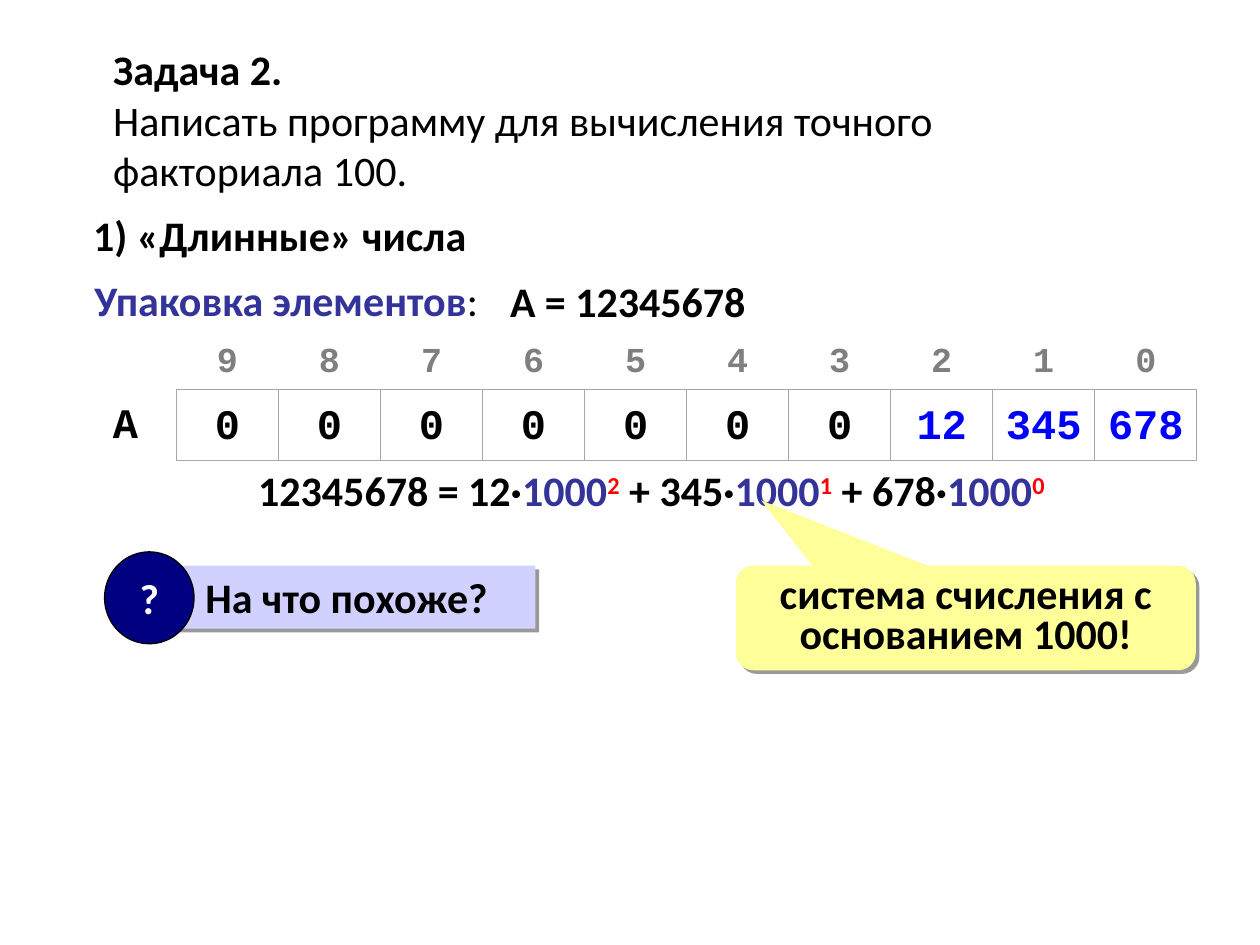
from lxml.etree import SubElement
from pptx import Presentation
from pptx.dml.color import RGBColor
from pptx.enum.shapes import MSO_SHAPE as Shape
from pptx.enum.text import MSO_ANCHOR as Anchor, MSO_AUTO_SIZE as AutoSize, PP_ALIGN as Align
from pptx.oxml.ns import qn
from pptx.util import Inches, Pt

COLORS = {
    "black": "000000", "white": "FFFFFF", "accent": "333399", "power": "FF0000",
    "index": "7F7F7F", "digits": "0000FF", "border": "A6A6A6",
    "callout": "FFFF99", "question": "D1D1FF", "badge": "000080",
}
SIDES = {"left": "lnL", "right": "lnR", "top": "lnT", "bottom": "lnB"}


def rgb(name):
    return RGBColor.from_string(COLORS[name])


def place(*lengths):
    return [Inches(length) for length in lengths]


class SlideBuilder:
    """Holds the text style and the slide being filled."""

    text_format = {"name": "Calibri", "size": Pt(24), "bold": True}

    def __init__(self, slide):
        self.slide = slide

    def add_spans(self, para, spans, **para_format):
        """Adds spans of (text, colour, font changes); "baseline" raises a span."""
        for name, value in para_format.items():
            setattr(para, name, value)
        for text, color, changes in spans:
            span = para.add_run()
            span.text = text
            font_format = self.text_format | changes
            baseline = font_format.pop("baseline", None)
            for name, value in font_format.items():
                setattr(span.font, name, value)
            span.font.color.rgb = rgb(color)
            if baseline:
                span._r.get_or_add_rPr().set("baseline", str(baseline * 1000))

    def text(self, at, *paragraphs, wrap=True, **para_format):
        frame = self.slide.shapes.add_textbox(*place(*at)).text_frame
        frame.word_wrap = wrap
        frame.auto_size = AutoSize.SHAPE_TO_FIT_TEXT
        for number, spans in enumerate(paragraphs):
            para = frame.add_paragraph() if number else frame.paragraphs[0]
            self.add_spans(para, spans, **para_format)

    def shape(self, kind, at, fill, spans, parent=None, frame_format=None, **para_format):
        box = (parent or self.slide).shapes.add_shape(kind, *place(*at))
        box.shadow.inherit = False
        box.fill.solid()
        box.fill.fore_color.rgb = rgb(fill)
        box.line.fill.background()
        settings = {"word_wrap": True, "vertical_anchor": Anchor.TOP} | (frame_format or {})
        for name, value in settings.items():
            setattr(box.text_frame, name, value)
        self.add_spans(box.text_frame.paragraphs[0], spans, **para_format)
        return box

    def cast_shadow(self, box):
        effects = box._element.spPr.find(qn("a:effectLst"))
        shadow = SubElement(effects, qn("a:outerShdw"), blurRad="0", dist=str(Pt(3)),
                            dir=str(45 * 60000), algn="tl", rotWithShape="0")
        color = SubElement(shadow, qn("a:srgbClr"), val=COLORS["black"])
        SubElement(color, qn("a:alpha"), val="40000")

    def cell(self, cell, text, color, size, anchor, bordered):
        properties = cell._tc.get_or_add_tcPr()
        for side, tag in SIDES.items():
            line = SubElement(properties, qn(f"a:{tag}"), w=str(Pt(0.45)))
            if side in bordered:
                fill = SubElement(line, qn("a:solidFill"))
                SubElement(fill, qn("a:srgbClr"), val=COLORS["border"])
            else:
                SubElement(line, qn("a:noFill"))
        cell.fill.background()
        cell.margin_left = cell.margin_right = Inches(0.08)
        cell.vertical_anchor = anchor
        if text:
            font_format = {"name": "Courier New", "size": Pt(size)}
            self.add_spans(cell.text_frame.paragraphs[0], [(text, color, font_format)],
                           alignment=Align.CENTER, line_spacing=1.15)

    def digit_table(self, at, label, digits):
        """Draws the array cells with their indexes counting down above them."""
        count = len(digits)
        table = self.slide.shapes.add_table(2, count + 1, *place(*at)).table
        table.first_row = table.horz_banding = False
        self.cell(table.cell(0, 0), "", "index", 20, Anchor.BOTTOM, ())
        self.cell(table.cell(1, 0), label, "black", 24, Anchor.TOP, ("right",))
        for column, digit in enumerate(digits, start=1):
            color = "black" if digit == "0" else "digits"
            self.cell(table.cell(0, column), str(count - column), "index", 20,
                      Anchor.BOTTOM, ("bottom",))
            self.cell(table.cell(1, column), digit, color, 24, Anchor.MIDDLE, SIDES)


def main():
    deck = Presentation()
    deck.slide_width, deck.slide_height = place(10, 7.5)
    builder = SlideBuilder(deck.slides.add_slide(deck.slide_layouts[6]))

    builder.text(
        (0.8, 0.3, 8.3, 1.3),
        [("Задача 2.", "black", {})],
        [("Написать программу для вычисления точного факториала 100.", "black", {"bold": False})],
    )
    builder.text((0.64, 1.61, 9.16, 0.52), [("1) «Длинные» числа", "black", {})])
    builder.text(
        (0.65, 2.13, 3.28, 0.5),
        [("Упаковка элементов", "accent", {}), (":", "black", {"bold": False})],
        wrap=False,
    )
    builder.digit_table((0.59, 2.61, 8.91, 0.92), "A", ["0"] * 7 + ["12", "345", "678"])

    expansion = []
    for factor, power in (("12345678 = 12·", "2"), (" + 345·", "1"), (" + 678·", "0")):
        expansion += [(factor, "black", {}), ("1000", "accent", {}),
                      (power, "power", {"baseline": 30})]
    builder.text((1.31, 3.64, 7.72, 0.5), expansion, alignment=Align.CENTER)

    callout = builder.shape(
        Shape.ROUNDED_RECTANGULAR_CALLOUT, (5.84, 4.49, 3.65, 0.83), "callout",
        [("система счисления с основанием 1000!", "black", {})],
        alignment=Align.CENTER, line_spacing=0.8,
    )
    for index, value in enumerate((-0.445, -1.125, 0.167)):
        callout.adjustments[index] = value
    builder.cast_shadow(callout)

    group = builder.slide.shapes.add_group_shape()
    question = builder.shape(
        Shape.RECTANGLE, (1.38, 4.49, 2.87, 0.5), "question",
        [("На что похоже?", "black", {})], group,
        {"margin_left": Inches(0.25)}, alignment=Align.LEFT,
    )
    builder.cast_shadow(question)
    badge = builder.shape(
        Shape.OVAL, (0.83, 4.38, 0.71, 0.73), "badge", [("?", "white", {})], group,
        {"word_wrap": False, "vertical_anchor": Anchor.MIDDLE}, alignment=Align.CENTER,
    )
    badge.line.color.rgb = rgb("black")
    badge.line.width = Pt(0.75)

    builder.text((3.95, 2.14, 2.07, 0.5), [("A = 12345678", "black", {})], wrap=False)
    deck.save("out.pptx")


if __name__ == "__main__":
    main()
